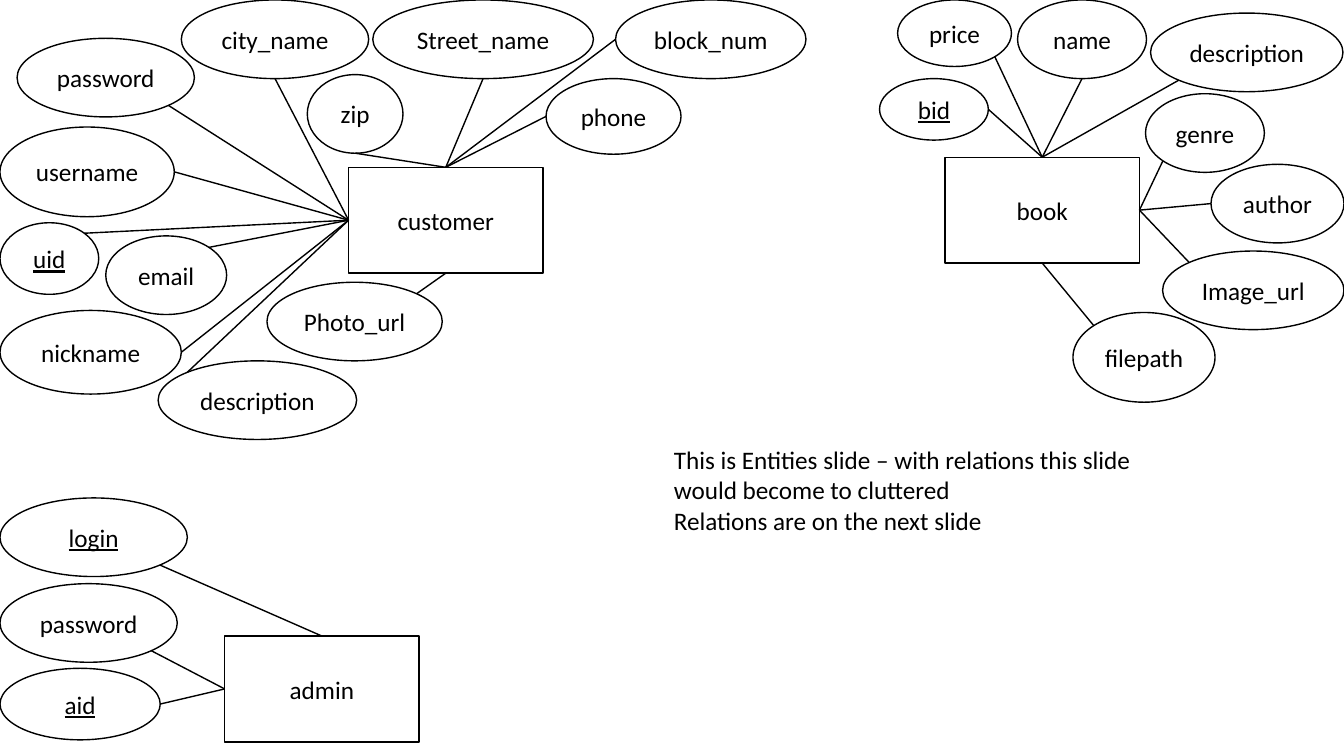
from math import cos, radians, sin

from lxml import etree
from pptx import Presentation
from pptx import util as u
from pptx.dml.color import RGBColor
from pptx.enum import shapes, text
from pptx.oxml import ns

PX = 9144
BLACK = RGBColor(0, 0, 0)
WHITE = RGBColor(255, 255, 255)
FONT = "Calibri"
ENTITY_W, ENTITY_H = 193, 105
RECT = shapes.MSO_SHAPE.RECTANGLE
OVAL = shapes.MSO_SHAPE.OVAL

TOP, LEFT, BOTTOM, RIGHT = range(4)
O_LEFT, O_BOTTOM, O_RIGHT = 90, 180, 270
O_TOP_LEFT, O_BOTTOM_LEFT, O_BOTTOM_RIGHT, O_TOP_RIGHT = 45, 135, 225, 315

KEYS = {"uid", "bid", "login", "aid"}

CUSTOMER = [
    ("uid", (0, 221, 98, 71), LEFT, O_TOP_RIGHT),
    ("nickname", (0, 308, 180, 83), LEFT, O_RIGHT),
    ("email", (105, 234, 120, 78), LEFT, O_TOP_RIGHT),
    ("username", (0, 126, 173, 89), LEFT, O_RIGHT),
    ("Street_name", (370, 0, 219, 78), TOP, O_BOTTOM),
    ("block_num", (611, 0, 189, 78), TOP, O_LEFT),
    ("city_name", (180, 0, 186, 78), LEFT, O_BOTTOM),
    ("zip", (305, 74, 95, 78), TOP, O_BOTTOM),
    ("password", (17, 38, 176, 78), LEFT, O_BOTTOM_RIGHT),
    ("phone", (542, 78, 134, 75), TOP, O_LEFT),
    ("Photo_url", (265, 280, 174, 78), BOTTOM, O_TOP_RIGHT),
    ("description", (157, 358, 197, 78), LEFT, O_TOP_LEFT),
]
BOOK = [
    ("bid", (0, 78, 108, 61), TOP, O_RIGHT),
    ("filepath", (192, 310, 141, 89), BOTTOM, O_TOP_LEFT),
    ("description", (269, 13, 191, 78), TOP, O_BOTTOM_LEFT),
    ("author", (329, 163, 132, 78), RIGHT, O_LEFT),
    ("name", (137, 0, 128, 78), TOP, O_BOTTOM),
    ("genre", (264, 93, 118, 78), RIGHT, O_BOTTOM_LEFT),
    ("price", (18, 0, 113, 66), TOP, O_BOTTOM_RIGHT),
    ("Image_url", (281, 249, 180, 78), RIGHT, O_TOP_LEFT),
]
ADMIN = [
    ("aid", (0, 169, 159, 71), LEFT, O_RIGHT),
    ("login", (0, 0, 186, 78), TOP, O_BOTTOM_RIGHT),
    ("password", (0, 85, 176, 78), LEFT, O_BOTTOM_RIGHT),
]


def add_run(p, words, underline=False):
    r = p.add_run()
    r.text = words
    r.font.name = FONT
    r.font.size = u.Pt(18)
    r.font.color.rgb = BLACK
    if underline:
        r.font.underline = True


def add_node(s, kind, box, name):
    sp = s.shapes.add_shape(kind, *(v * PX for v in box))
    sp.shadow.inherit = False
    sp.fill.solid()
    sp.fill.fore_color.rgb = WHITE
    sp.line.color.rgb = BLACK
    sp.line.width = u.Pt(1)
    tf = sp.text_frame
    tf.word_wrap = True
    tf.vertical_anchor = text.MSO_ANCHOR.MIDDLE
    p = tf.paragraphs[0]
    p.alignment = text.PP_ALIGN.CENTER
    add_run(p, name, name in KEYS)
    return sp


def add_link(s, entity, side, oval, angle):
    a = radians(angle)
    x = round(oval.left + oval.width / 2 * (1 - sin(a)))
    y = round(oval.top + oval.height / 2 * (1 - cos(a)))
    line = s.shapes.add_connector(shapes.MSO_CONNECTOR.STRAIGHT, x, y, x, y)
    line.begin_connect(entity, side)
    line.line.color.rgb = BLACK
    line.line.width = u.Pt(1)
    etree.SubElement(line._element.spPr, ns.qn("a:effectLst"))


def draw_entity(s, origin, name, offset, attributes):
    x, y = origin
    dx, dy = offset
    entity = add_node(s, RECT, (x + dx, y + dy, ENTITY_W, ENTITY_H), name)
    links = []
    for label, (ax, ay, w, h), side, angle in attributes:
        oval = add_node(s, OVAL, (x + ax, y + ay, w, h), label)
        links.append((side, oval, angle))
    for link in links:
        add_link(s, entity, *link)


def draw_note(s, box, lines):
    tf = s.shapes.add_textbox(*(v * PX for v in box)).text_frame
    tf.word_wrap = True
    tf.auto_size = text.MSO_AUTO_SIZE.SHAPE_TO_FIT_TEXT
    for i, words in enumerate(lines):
        p = tf.add_paragraph() if i else tf.paragraphs[0]
        add_run(p, words)


def main():
    prs = Presentation()
    prs.slide_width = 1334 * PX
    prs.slide_height = 750 * PX
    s = prs.slides.add_slide(prs.slide_layouts[6])
    draw_entity(s, (0, 0), "customer", (346, 166), CUSTOMER)
    draw_entity(s, (873, 0), "book", (65, 156), BOOK)
    draw_entity(s, (0, 494), "admin", (223, 137), ADMIN)
    draw_note(s, (659, 436, 483, 100), [
        "This is Entities slide – with relations this slide would become to cluttered",
        "Relations are on the next slide",
    ])
    prs.save("out.pptx")


if __name__ == "__main__":
    main()
